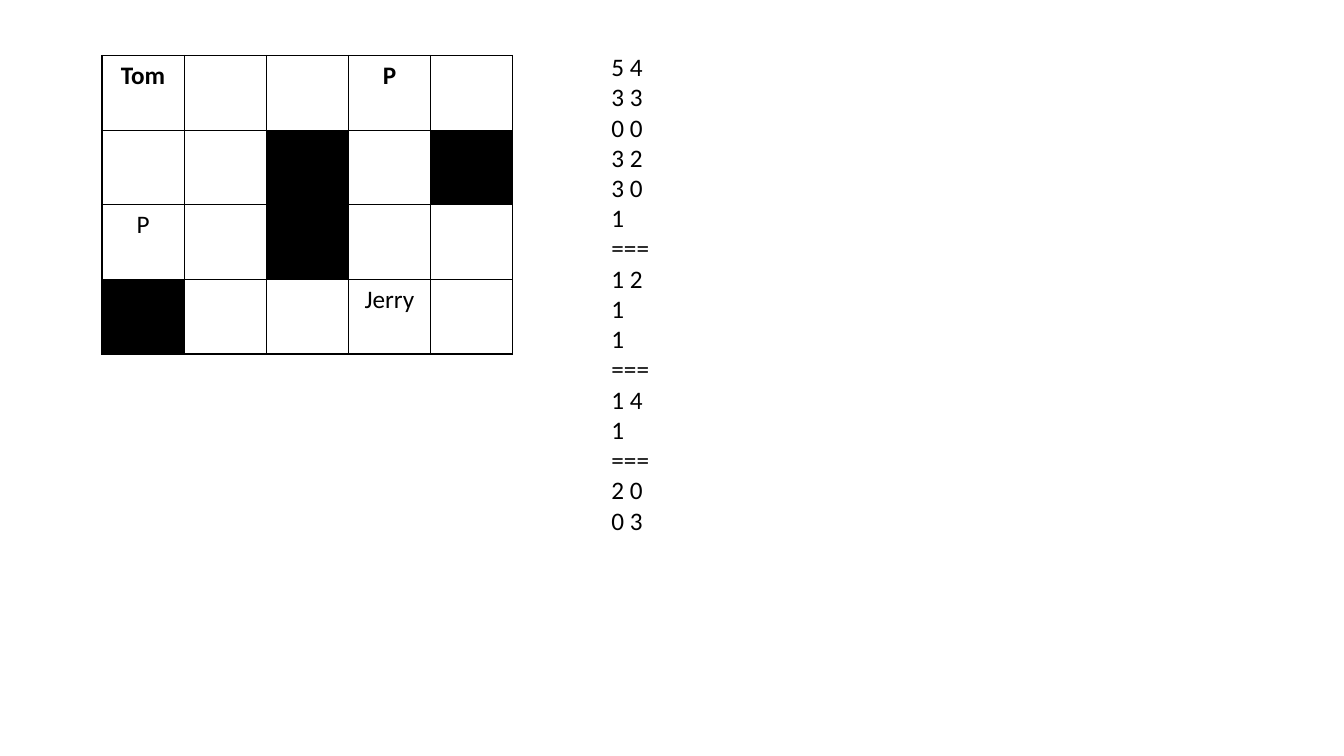
from dataclasses import dataclass

from lxml import etree
from pptx import Presentation
from pptx.dml.color import RGBColor
from pptx.enum import text
from pptx.oxml import ns
from pptx.util import Cm, Pt


@dataclass
class Theme:
    font: str = "Calibri"
    size: int = 18
    ink: str = "000000"
    paper: str = "FFFFFF"
    border: float = 1


theme = Theme()


def write(p, content, bold=False, align=text.PP_ALIGN.LEFT):
    p.alignment = align
    r = p.add_run()
    r.text = content
    r.font.name = theme.font
    r.font.size = Pt(theme.size)
    r.font.bold = bold
    r.font.color.rgb = RGBColor.from_string(theme.ink)


def add_borders(cell):
    tc_pr = cell._tc.get_or_add_tcPr()
    for side in ("a:lnL", "a:lnR", "a:lnT", "a:lnB"):
        ln = etree.SubElement(tc_pr, ns.qn(side), w=str(Pt(theme.border)))
        fill = etree.SubElement(ln, ns.qn("a:solidFill"))
        etree.SubElement(fill, ns.qn("a:srgbClr"), val=theme.ink)


prs = Presentation()
prs.slide_width, prs.slide_height = Cm(33.87), Cm(19.05)
s = prs.slides.add_slide(prs.slide_layouts[6])

# Maze: "#" is a wall
maze = [
    ["Tom", "", "", "P", ""],
    ["", "", "#", "", "#"],
    ["P", "", "#", "", ""],
    ["#", "", "", "Jerry", ""],
]
col_width, row_height = Cm(2.07), Cm(1.88)
n_rows, n_cols = len(maze), len(maze[0])
table = s.shapes.add_table(n_rows, n_cols, Cm(2.57), Cm(1.4),
                           col_width * n_cols, row_height * n_rows).table
table.first_row = table.horz_banding = False
for col in table.columns:
    col.width = col_width
for i, squares in enumerate(maze):
    table.rows[i].height = row_height
    for j, square in enumerate(squares):
        cell = table.cell(i, j)
        add_borders(cell)
        cell.fill.solid()
        wall = square == "#"
        cell.fill.fore_color.rgb = RGBColor.from_string(
            theme.ink if wall else theme.paper)
        if square and not wall:
            write(cell.text_frame.paragraphs[0], square, bold=i == 0,
                  align=text.PP_ALIGN.CENTER)

# Input listing
lines = ["5 4", "3 3", "0 0", "3 2", "3 0", "1", "===", "1 2", "1", "1",
         "===", "1 4", "1", "===", "2 0", "0 3"]
sp = s.shapes.add_textbox(Cm(15.16), Cm(1.17), Cm(1.75), Cm(13.34))
tf = sp.text_frame
tf.word_wrap = True
tf.auto_size = text.MSO_AUTO_SIZE.SHAPE_TO_FIT_TEXT
for i, line in enumerate(lines):
    p = tf.add_paragraph() if i else tf.paragraphs[0]
    write(p, line)

prs.save("out.pptx")
